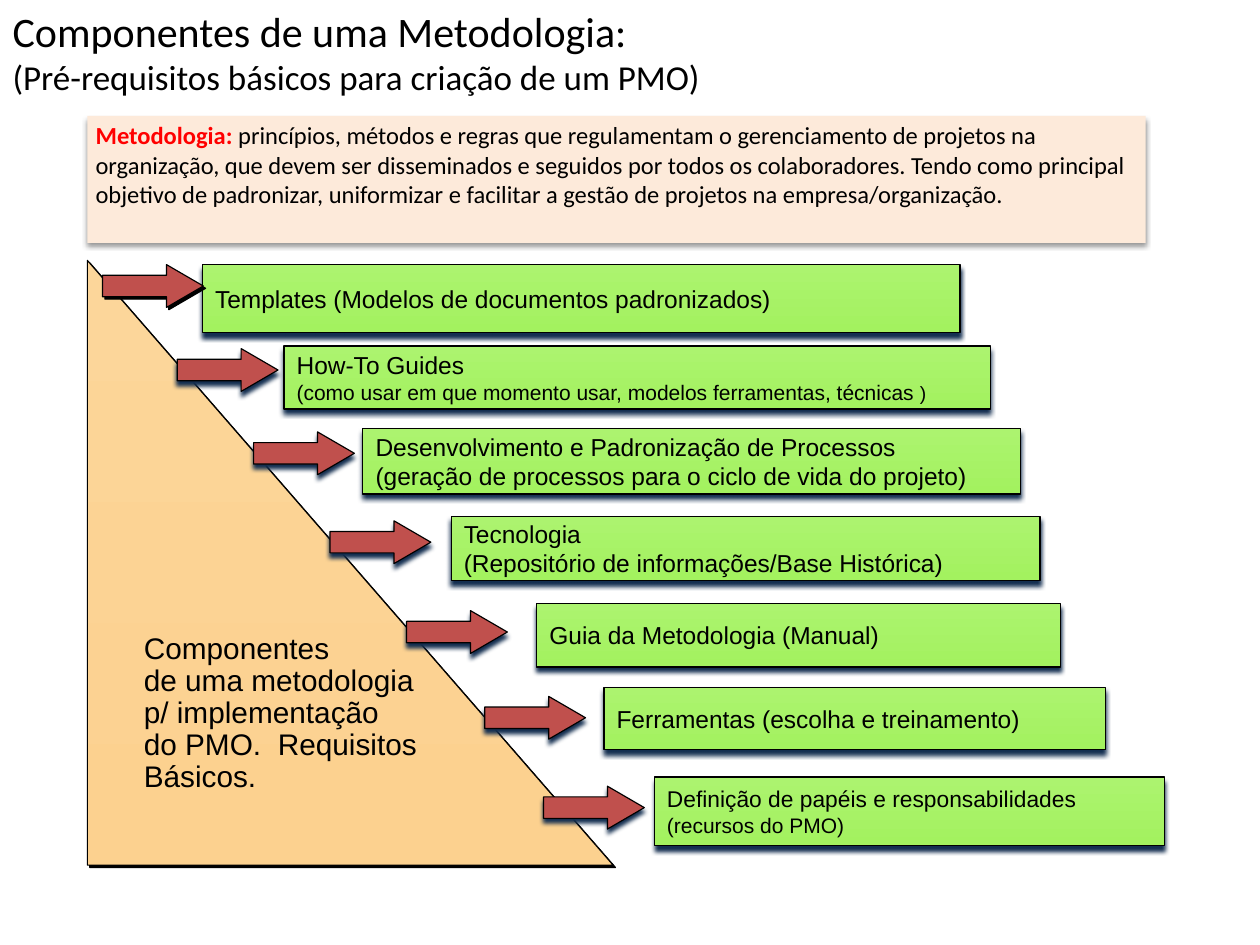
from collections import namedtuple

from lxml.etree import SubElement
from pptx import Presentation
from pptx.dml.color import RGBColor
from pptx.enum.shapes import MSO_SHAPE as Shape
from pptx.enum.text import MSO_ANCHOR as Anchor, PP_ALIGN as Align
from pptx.oxml.ns import qn
from pptx.util import Pt

BLACK = RGBColor(0x00, 0x00, 0x00)
RED = RGBColor(0xFF, 0x00, 0x00)
PEACH = RGBColor(0xFD, 0xEA, 0xDA)
BRICK = RGBColor(0xC0, 0x50, 0x4D)
NAVY = RGBColor(0x14, 0x2F, 0x51)
GREEN = (RGBColor(0xAC, 0xF3, 0x6F), RGBColor(0xA3, 0xF2, 0x5F))
ORANGE = (RGBColor(0xFC, 0xD6, 0x9A), RGBColor(0xFC, 0xD1, 0x8F))

Box = namedtuple("Box", "left top width height")
Shadow = namedtuple("Shadow", "color opacity blur distance angle")
Run = namedtuple("Run", "text size color bold", defaults=(BLACK, False))
Step = namedtuple("Step", "arrow label lines")

SOFT = Shadow(NAVY, 100, 4, 4, 90)
HARD = Shadow(BLACK, 100, 0, 2.8, 45)
FAINT = Shadow(BLACK, 40, 4, 3, 90)
WIDE_INSETS = (10.8, 5.2)
ARROW_SIZE = (86.4, 36.7)

STEPS = [
    Step((13, 3.6), Box(98.6, 3.6, 649.4, 58.3),
         [[Run("Templates (Modelos de documentos padronizados)", 21)]]),
    Step((77, 75.6), Box(168.5, 73.4, 605.5, 54),
         [[Run("How-To Guides", 21)],
          [Run("(como usar em que momento usar, modelos ferramentas, técnicas ", 18),
           Run(")", 16.5)]]),
    Step((142.5, 147), Box(236.2, 144, 563.8, 56.2),
         [[Run("Desenvolvimento e Padronização de Processos", 21)],
          [Run("(geração de processos para o ciclo de vida do projeto)", 21)]]),
    Step((208, 223.2), Box(311.8, 219.6, 504.7, 54.7),
         [[Run("Tecnologia", 21)],
          [Run("(Repositório de informações/Base Histórica)", 21)]]),
    Step((273.6, 300.2), Box(385.2, 293.8, 448.6, 54.7),
         [[Run("Guia da Metodologia (Manual)", 21)]]),
    Step((340.6, 373.7), Box(442.8, 365.8, 429.8, 53.3),
         [[Run("Ferramentas (escolha e treinamento)", 21)]]),
    Step((391, 450.7), Box(486, 442.8, 437, 59),
         [[Run("Definição de papéis e responsabilidades", 19.5)],
          [Run("(recursos do PMO)", 18)]]),
]
REQUIREMENTS = ["Componentes", "de uma metodologia", "p/ implementação",
                "do PMO.  Requisitos", "Básicos."]


def write(frame, lines, font_name, insets, anchor=Anchor.MIDDLE, wrap=True, spacing=None):
    frame.word_wrap = wrap
    frame.vertical_anchor = anchor
    frame.margin_left = frame.margin_right = Pt(insets[0])
    frame.margin_top = frame.margin_bottom = Pt(insets[1])
    for index, line in enumerate(lines):
        paragraph = frame.add_paragraph() if index else frame.paragraphs[0]
        paragraph.alignment = Align.LEFT
        paragraph.line_spacing = spacing
        for part in line:
            run = paragraph.add_run()
            run.text = part.text
            run.font.name = font_name
            run.font.size = Pt(part.size)
            run.font.bold = part.bold
            run.font.color.rgb = part.color


def cast_shadow(shape, shadow):
    shape.shadow.inherit = False
    effects = shape._element.spPr.find(qn("a:effectLst"))
    outer = SubElement(effects, qn("a:outerShdw"), blurRad=str(Pt(shadow.blur)),
                       dist=str(Pt(shadow.distance)), dir=str(shadow.angle * 60000),
                       algn="ctr", rotWithShape="0")
    color = SubElement(outer, qn("a:srgbClr"), val=str(shadow.color))
    SubElement(color, qn("a:alpha"), val=str(shadow.opacity * 1000))


def add_block(slide, kind, box, fill, shadow, outlined=True):
    block = slide.shapes.add_shape(kind, *map(Pt, box))
    if isinstance(fill, RGBColor):
        block.fill.solid()
        block.fill.fore_color.rgb = fill
    else:
        block.fill.gradient()
        block.fill.gradient_angle = 270
        for stop, color in zip(block.fill.gradient_stops, fill):
            stop.color.rgb = color
    if outlined:
        block.line.color.rgb = BLACK
        block.line.width = Pt(1)
    else:
        block.line.fill.background()
    cast_shadow(block, shadow)
    return block


def place_title(slide, box):
    title = slide.shapes.title
    title.left, title.top, title.width, title.height = map(Pt, box)
    lines = [[Run("Componentes de uma Metodologia:", 36)],
             [Run("(Pré-requisitos básicos para criação de um PMO)", 30)]]
    write(title.text_frame, lines, "Calibri", WIDE_INSETS)


def place_definition(slide, box):
    panel = add_block(slide, Shape.RECTANGLE, box, PEACH, FAINT, outlined=False)
    definition = [
        Run("Metodologia: ", 21, RED, True),
        Run("princípios, métodos e regras que regulamentam o gerenciamento de projetos na "
            "organização, que devem ser disseminados e seguidos por todos os colaboradores. "
            "Tendo como principal objetivo de padronizar, uniformizar e facilitar a gestão "
            "de projetos na empresa/organização.", 21),
    ]
    write(panel.text_frame, [definition], "Calibri", (7.2, 3.6), Anchor.TOP)


def place_components(slide, box):
    for step in STEPS:
        place = step.label._replace(left=box.left + step.label.left,
                                    top=box.top + step.label.top)
        label = add_block(slide, Shape.RECTANGLE, place, GREEN, SOFT)
        write(label.text_frame, step.lines, "Arial", WIDE_INSETS, wrap=False)

    slope = add_block(slide, Shape.RIGHT_TRIANGLE, box, ORANGE, HARD)
    write(slope.text_frame, [[Run(line, 25.5)] for line in REQUIREMENTS],
          "Arial", WIDE_INSETS, wrap=False, spacing=0.9)

    for index, step in enumerate(STEPS):
        x, y = step.arrow
        place = Box(box.left + x, box.top + y, *ARROW_SIZE)
        arrow = add_block(slide, Shape.RIGHT_ARROW, place, BRICK, SOFT if index else HARD)
        arrow.adjustments[0] = 0.5
        arrow.adjustments[1] = 0.86


def main():
    deck = Presentation()
    deck.slide_width, deck.slide_height = Pt(1080), Pt(810)
    slide = deck.slides.add_slide(deck.slide_layouts[5])
    place_title(slide, Box(0, -2.9, 1029.6, 94.3))
    place_components(slide, Box(74.9, 223.2, 450.7, 518.4))
    place_definition(slide, Box(74.9, 99.4, 907.2, 108.7))
    deck.save("out.pptx")


if __name__ == "__main__":
    main()
